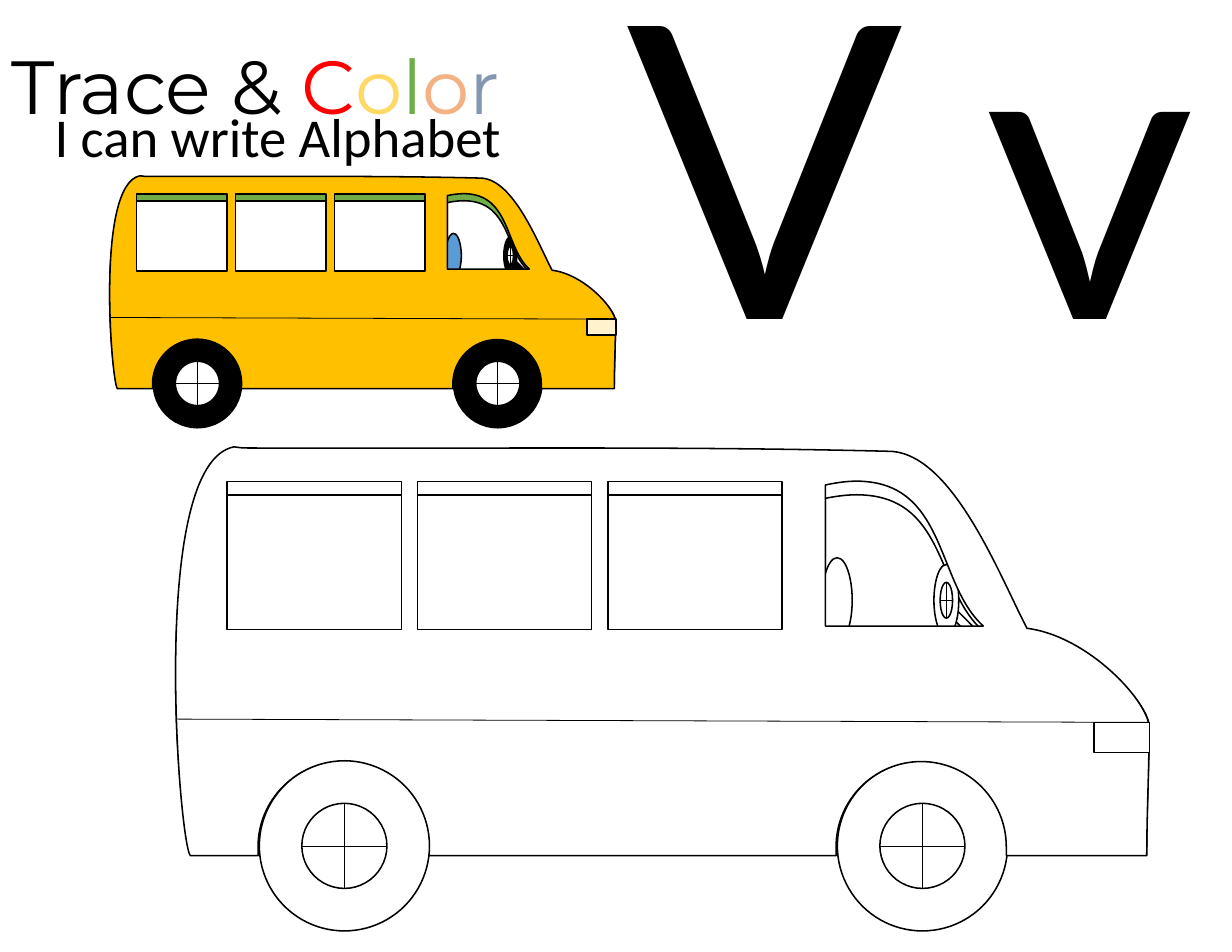
from lxml import etree
from pptx import Presentation
from pptx.dml.color import RGBColor
from pptx.enum.shapes import MSO_CONNECTOR as CONN, MSO_SHAPE as SHAPE
from pptx.enum.text import MSO_ANCHOR as ANCHOR, MSO_AUTO_SIZE as FIT, PP_ALIGN as ALIGN
from pptx.oxml.ns import qn
from pptx.util import Pt

BLACK, WHITE = "000000", "FFFFFF"
VAN_W, VAN_H = 626.4, 262.8      # design size of the van body
AXLES, AXLE_Y = (108.4, 480), 256.5
WHEEL_R = 54.7
STEERING = (495.4, 98.6, 8, 23)  # centre x, centre y, radii


def color(value):
    return RGBColor.from_string(value)


def add_text(sp, box, runs, size, font):
    """Fill a text shape with (text, colour) runs."""
    sp.left, sp.top, sp.width, sp.height = map(Pt, box)
    tf = sp.text_frame
    tf.word_wrap = True
    tf.auto_size = FIT.SHAPE_TO_FIT_TEXT
    tf.vertical_anchor = ANCHOR.TOP
    p = tf.paragraphs[0]
    p.alignment = ALIGN.LEFT
    for text, fill in runs:
        r = p.add_run()
        r.text = text
        r.font.size, r.font.name = Pt(size), font
        r.font.color.rgb = color(fill)


# Outlines in van design units: each segment is a tuple of one point (a line)
# or of three points (a Bezier curve)
def polygon(*pts):
    return [(pt,) for pt in pts]


def arch(cx):
    """Wheel arch as two quarter circles standing on the sill."""
    cy, r, k = 257, WHEEL_R, 0.55 * WHEEL_R
    return [((cx - r, VAN_H),), ((cx - r, cy),),
            ((cx - r, cy - k), (cx - k, cy - r), (cx, cy - r)),
            ((cx + k, cy - r), (cx + r, cy - k), (cx + r, cy)),
            ((cx + r, VAN_H),)]


def body():
    """Body outline with wheel arches, three windows and the driver's window."""
    outline = [((37.4, 0),),
               ((9.7, 5.4), (0.9, 69.1), (0, 132.5)),
               ((-1, 195.9), (5.8, 258.9), (9.4, VAN_H))]
    for cx in AXLES:
        outline += arch(cx - 0.8)
    outline += [((624.2, VAN_H),),
                ((624.2, 235.4), (625.7, 208), (625.7, 180)),
                ((625, 163.4), (586.8, 121.7), (547.2, 116.6)),
                ((529.9, 83.5), (500.4, 6.5), (460.8, 2.9)),
                ((321.1, -0.7), (182.2, 1.4), (43.2, 0.7)),
                ((37.4, 0),)]
    windows = []
    for i in range(3):
        x, top, bottom = 33 + 122.4 * i, 22.3, 117.4
        windows.append(polygon((x, top), (x + 112, top), (x + 112, bottom), (x, bottom)))
    driver = [((443.5, 22.3),),
              ((495.4, 26.6), (489.6, 88.6), (519.1, 115.2)),
              ((417.6, 115.2),), ((417.6, 24.5),),
              ((427.7, 22.3), (436.3, 21.6), (443.5, 22.3))]
    return [outline, *windows, driver]


def bend(sp, contours):
    """Turn the three-point segments of a freeform into Bezier curves."""
    lines = iter(list(sp._element.iter(qn("a:lnTo"))))
    for contour in contours:
        for segment in contour[1:]:
            parts = [next(lines) for _ in segment]
            if len(parts) == 3:
                bez = etree.Element(qn("a:cubicBezTo"))
                parts[0].addprevious(bez)
                for part in parts:
                    bez.append(part[0])
                    part.getparent().remove(part)


def add_van(s, box, paint, lining, tyre, seat, lamp):
    left, top, width, height = box
    kx, ky = width / VAN_W, height / VAN_H
    shapes = s.shapes.add_group_shape().shapes

    def at(x, y):
        return Pt(left + x * kx), Pt(top + y * ky)

    def style(sp, fill):
        sp.shadow.inherit = False
        sp.fill.solid()
        sp.fill.fore_color.rgb = color(fill)
        sp.line.color.rgb = color(BLACK)
        sp.line.width = Pt(1)

    def add_body(fill, dy=0, squash=1):
        contours = body()
        fb = None
        for contour in contours:
            pts = [at(x, dy + y * squash) for segment in contour for x, y in segment]
            if fb is None:
                fb = shapes.build_freeform(*pts[0], scale=1.0)
            else:
                fb.move_to(*pts[0])
            fb.add_line_segments(pts[1:], close=False)
        sp = fb.convert_to_shape()
        bend(sp, contours)
        for move in list(sp._element.iter(qn("a:moveTo")))[1:]:
            move.addprevious(etree.Element(qn("a:close")))
        next(sp._element.iter(qn("a:path"))).append(etree.Element(qn("a:close")))
        style(sp, fill)

    def preset(kind, x, y, w, h, fill):
        sp = shapes.add_shape(kind, *at(x, y), Pt(w * kx), Pt(h * ky))
        style(sp, fill)
        return sp

    def centred(kind, cx, cy, rx, ry, fill):
        return preset(kind, cx - rx, cy - ry, 2 * rx, 2 * ry, fill)

    def line(x1, y1, x2, y2):
        c = shapes.add_connector(CONN.STRAIGHT, *at(x1, y1), *at(x2, y2))
        c.line.color.rgb = color(BLACK)
        c.line.width = Pt(0.5)
        etree.SubElement(c._element.spPr, qn("a:effectLst"))

    def spokes(cx, cy, rx, ry):
        line(cx + rx / 2, cy, cx - rx / 2, cy)
        line(cx, cy - ry / 2, cx, cy + ry / 2)

    rear, front = ((x, AXLE_Y, WHEEL_R, WHEEL_R) for x in AXLES)
    cx, cy, rx, ry = STEERING

    # Lining behind the windows, steering column and wheel, seat
    add_body(lining, dy=10.1, squash=0.94)
    preset(SHAPE.ROUNDED_RECTANGLE, 516.3, 98.6, 5.6, 54.7, tyre).rotation = 315.1
    centred(SHAPE.OVAL, cx, cy, rx, ry, tyre)
    centred(SHAPE.OVAL, cx, cy, rx / 2, ry / 2, WHITE)
    centred(SHAPE.OVAL, 425.2, cy, 9.7, 27.4, seat)

    # Painted body between the two wheels
    centred(SHAPE.DONUT, *front, tyre)
    add_body(paint)
    centred(SHAPE.DONUT, *rear, tyre)

    # Spokes, side stripe and headlight
    spokes(*front)
    spokes(*rear)
    line(625.7, 177.1, 0, 175)
    preset(SHAPE.RECTANGLE, 590.4, 177.1, 35.5, 19.4, lamp)
    spokes(*STEERING)


def add_heading(s):
    runs = [("Trace & ", BLACK), ("C", "FF0000"), ("o", "FFD966"),
            ("l", "70AD47"), ("o", "F4B183"), ("r", "8497B0")]
    add_text(s.shapes.title, (0, 21.6, 396.7, 66.2), runs, 48.4, "Montserrat")
    for text, box, size, font in (
            ("V v", (396, -61.2, 473, 326.2), 262.9, "Lato"),
            ("I can write Alphabet", (28.1, 62.6, 311.8, 49.7), 35.2, "Calibri")):
        sp = s.shapes.add_textbox(*map(Pt, box))
        add_text(sp, box, [(text, BLACK)], size, font)


def main():
    prs = Presentation()
    prs.slide_width, prs.slide_height = Pt(792), Pt(612)
    s = prs.slides.add_slide(prs.slide_layouts[5])
    add_heading(s)
    # Coloured example, then the larger van to colour in
    add_van(s, (70.6, 113, 325.5, 136.8), paint="FFC000", lining="70AD47",
            tyre=BLACK, seat="5B9BD5", lamp="FFF2CC")
    add_van(s, (113, 287.3, VAN_W, VAN_H), paint=WHITE, lining=WHITE,
            tyre=WHITE, seat=WHITE, lamp=WHITE)
    prs.save("out.pptx")


if __name__ == "__main__":
    main()
